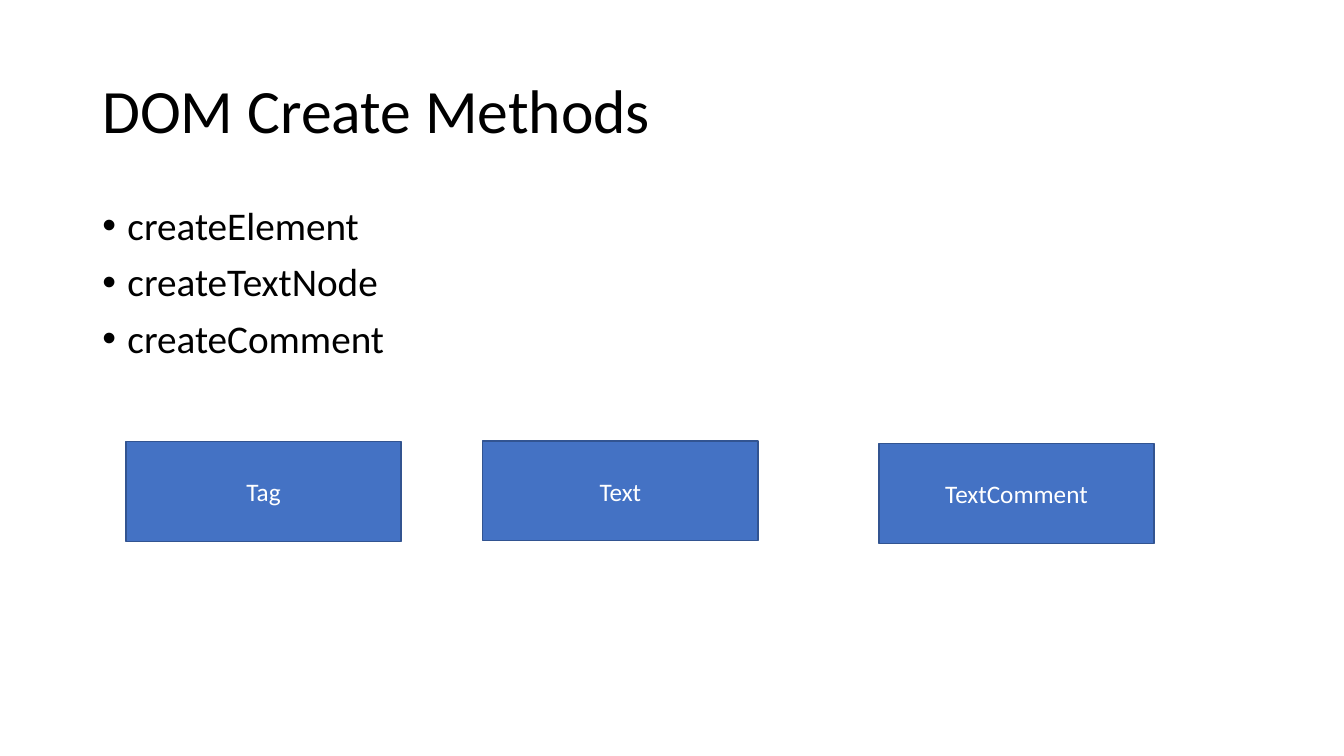
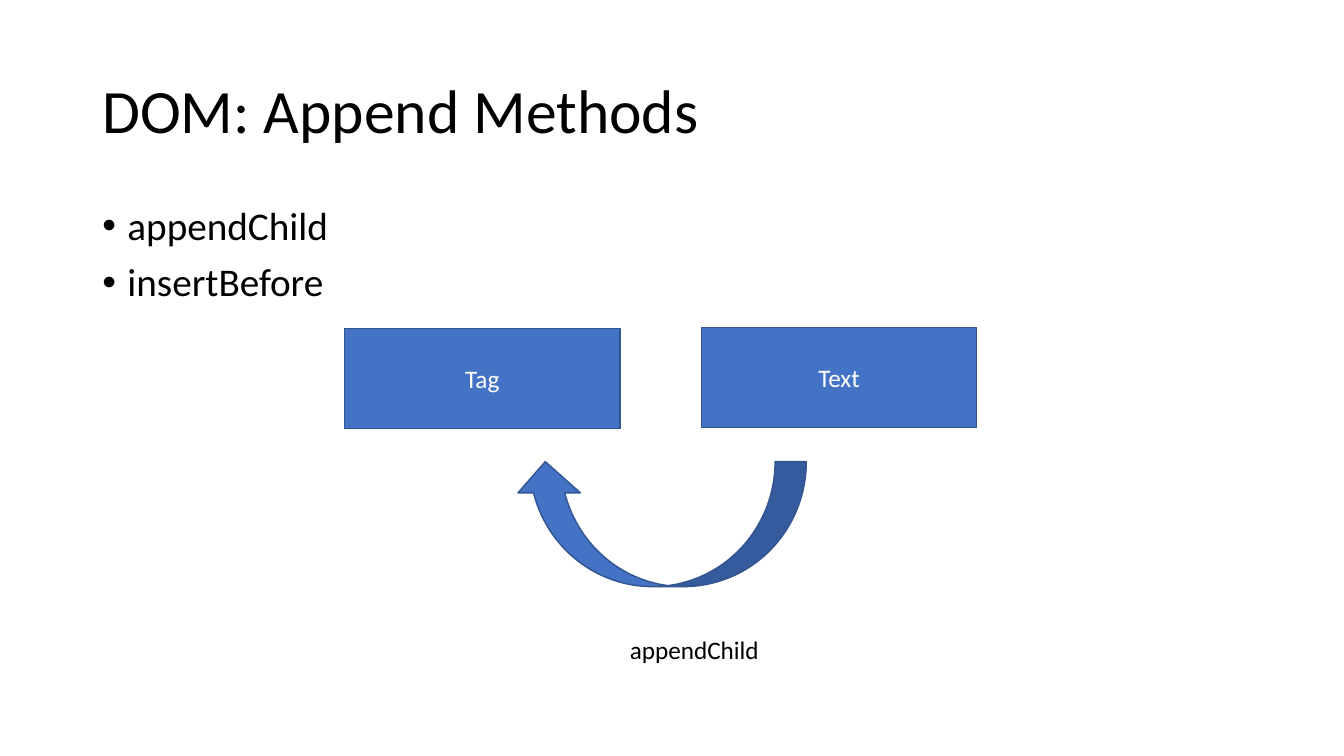
"""Build two slides on the DOM create and append methods."""

from dataclasses import dataclass

from lxml.etree import SubElement
from pptx import Presentation
from pptx.dml.color import RGBColor
from pptx.enum.shapes import MSO_SHAPE
from pptx.enum.text import MSO_ANCHOR, MSO_AUTO_SIZE, PP_ALIGN
from pptx.oxml.ns import qn
from pptx.presentation import Presentation as Deck
from pptx.shapes.autoshape import Shape
from pptx.slide import Slide
from pptx.text.text import TextFrame
from pptx.util import Pt


@dataclass(frozen=True)
class Theme:
    font: str = "Calibri"
    ink: RGBColor = RGBColor(0x00, 0x00, 0x00)
    paper: RGBColor = RGBColor(0xFF, 0xFF, 0xFF)
    accent: RGBColor = RGBColor(0x44, 0x72, 0xC4)
    outline: RGBColor = RGBColor(0x32, 0x54, 0x91)
    title_size: float = 44
    body_size: float = 28
    label_size: float = 18
    line_width: float = 1
    line_spacing: float = 0.9
    bullet_gap: float = 10
    bullet_indent: float = 18


@dataclass(frozen=True)
class Area:
    left: float
    top: float
    width: float
    height: float


@dataclass(frozen=True)
class Node:
    text: str
    left: float
    top: float


@dataclass(frozen=True)
class Topic:
    title: str
    methods: tuple[str, ...]
    nodes: tuple[Node, ...]


THEME = Theme()
TITLE_AREA = Area(66, 28.8, 828, 104.4)
BODY_AREA = Area(66, 144, 828, 342.72)
ARROW_AREA = Area(367.2, 329.76, 208.8, 89.28)
CAPTION_AREA = Area(442.8, 449.28, 108, 28.8)
NODE_WIDTH, NODE_HEIGHT = 196.56, 71.28

CREATE = Topic(
    "DOM Create Methods",
    ("createElement", "createTextNode", "createComment"),
    (Node("Tag", 90, 315.36), Node("Text", 344.88, 315), Node("TextComment", 627.84, 316.8)),
)
APPEND = Topic(
    "DOM: Append Methods",
    ("appendChild", "insertBefore"),
    (Node("Tag", 246.24, 234.72), Node("Text", 501.12, 234)),
)


def write_text(
    frame: TextFrame,
    *lines: str,
    size: float,
    color: RGBColor = THEME.ink,
    align: PP_ALIGN = PP_ALIGN.LEFT,
    anchor: MSO_ANCHOR = MSO_ANCHOR.TOP,
    spacing: float = 1.0,
    bulleted: bool = False,
    wrap: bool = True,
) -> None:
    frame.word_wrap = wrap
    frame.vertical_anchor = anchor
    for index, line in enumerate(lines):
        paragraph = frame.add_paragraph() if index else frame.paragraphs[0]
        paragraph.alignment = align
        paragraph.line_spacing = spacing
        if bulleted:
            paragraph.space_before = Pt(THEME.bullet_gap)
            properties = paragraph._p.get_or_add_pPr()
            properties.set("marL", str(Pt(THEME.bullet_indent)))
            properties.set("indent", str(-Pt(THEME.bullet_indent)))
            SubElement(properties, qn("a:buFont"), typeface="Arial")
            SubElement(properties, qn("a:buChar"), char="•")
        run = paragraph.add_run()
        run.text = line
        run.font.name = THEME.font
        run.font.size = Pt(size)
        run.font.color.rgb = color


def add_text_box(slide: Slide, area: Area) -> TextFrame:
    box = slide.shapes.add_textbox(Pt(area.left), Pt(area.top), Pt(area.width), Pt(area.height))
    return box.text_frame


def add_filled_shape(slide: Slide, kind: MSO_SHAPE, area: Area) -> Shape:
    shape = slide.shapes.add_shape(
        kind, Pt(area.left), Pt(area.top), Pt(area.width), Pt(area.height)
    )
    shape.shadow.inherit = False
    shape.fill.solid()
    shape.fill.fore_color.rgb = THEME.accent
    shape.line.color.rgb = THEME.outline
    shape.line.width = Pt(THEME.line_width)
    return shape


def add_node(slide: Slide, node: Node) -> None:
    area = Area(node.left, node.top, NODE_WIDTH, NODE_HEIGHT)
    shape = add_filled_shape(slide, MSO_SHAPE.RECTANGLE, area)
    write_text(
        shape.text_frame,
        node.text,
        size=THEME.label_size,
        color=THEME.paper,
        align=PP_ALIGN.CENTER,
        anchor=MSO_ANCHOR.MIDDLE,
    )


def add_topic_slide(presentation: Deck, topic: Topic) -> Slide:
    slide = presentation.slides.add_slide(presentation.slide_layouts[6])
    slide.background.fill.solid()
    slide.background.fill.fore_color.rgb = THEME.paper
    write_text(
        add_text_box(slide, TITLE_AREA),
        topic.title,
        size=THEME.title_size,
        anchor=MSO_ANCHOR.MIDDLE,
        spacing=THEME.line_spacing,
    )
    write_text(
        add_text_box(slide, BODY_AREA),
        *topic.methods,
        size=THEME.body_size,
        spacing=THEME.line_spacing,
        bulleted=True,
    )
    for node in topic.nodes:
        add_node(slide, node)
    return slide


def add_append_arrow(slide: Slide, caption: str) -> None:
    arrow = add_filled_shape(slide, MSO_SHAPE.CURVED_UP_ARROW, ARROW_AREA)
    arrow.element.spPr.find(qn("a:xfrm")).set("flipH", "1")
    frame = add_text_box(slide, CAPTION_AREA)
    write_text(frame, caption, size=THEME.label_size, wrap=False)
    frame.auto_size = MSO_AUTO_SIZE.SHAPE_TO_FIT_TEXT


def main() -> None:
    presentation = Presentation()
    presentation.slide_width = Pt(960)
    presentation.slide_height = Pt(540)
    add_topic_slide(presentation, CREATE)
    append_slide = add_topic_slide(presentation, APPEND)
    add_append_arrow(append_slide, APPEND.methods[0])
    presentation.save("out.pptx")


main()
